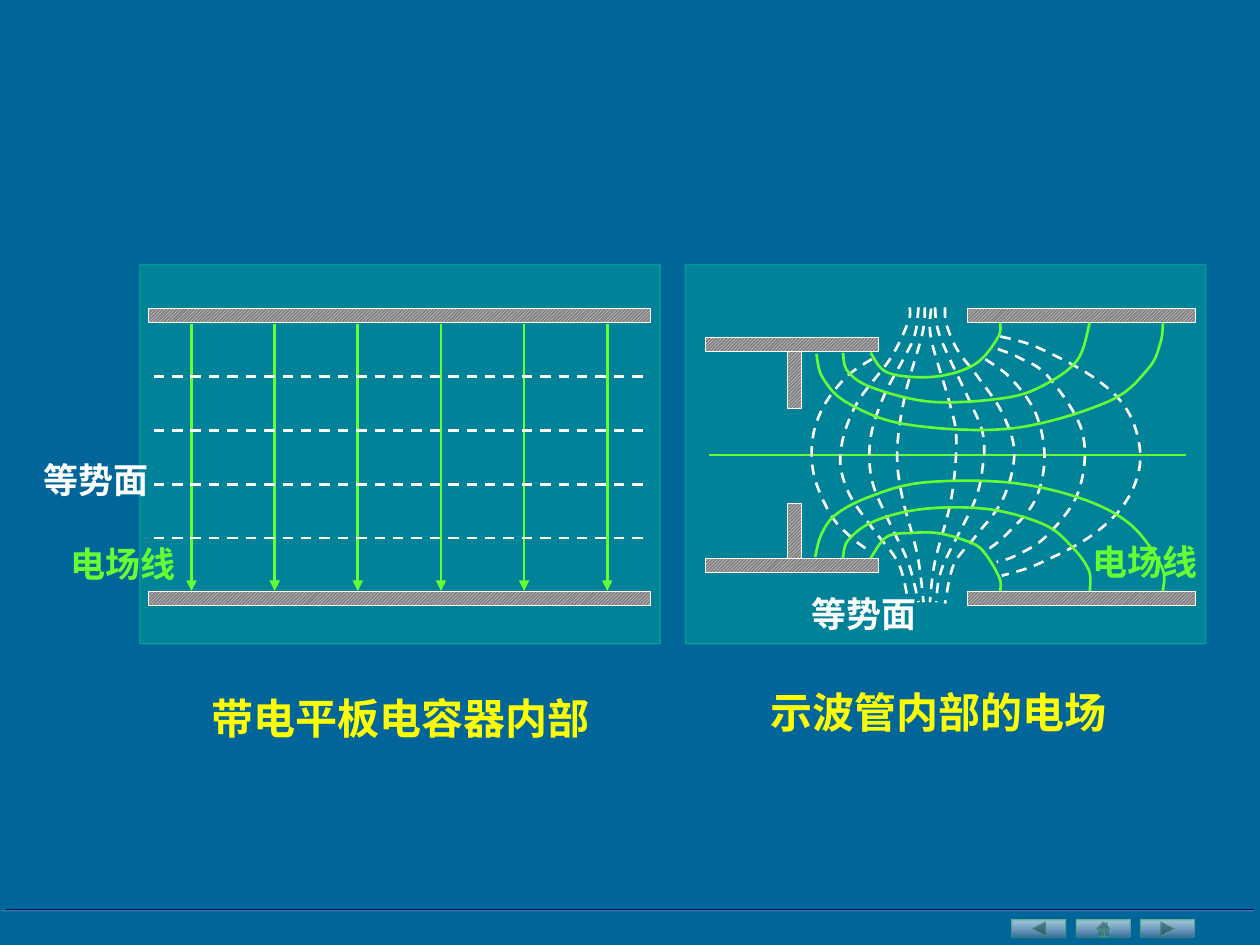
from lxml import etree
from pptx import Presentation
from pptx.dml.color import RGBColor
from pptx.enum.dml import MSO_LINE, MSO_PATTERN
from pptx.enum.shapes import MSO_CONNECTOR, MSO_SHAPE
from pptx.enum.text import MSO_AUTO_SIZE, PP_ALIGN
from pptx.oxml.ns import qn
from pptx.util import Inches, Pt

RECT = MSO_SHAPE.RECTANGLE
STRAIGHT = MSO_CONNECTOR.STRAIGHT
DASH = MSO_LINE.DASH
HATCH = MSO_PATTERN.DARK_UPWARD_DIAGONAL
LEFT, CENTER = PP_ALIGN.LEFT, PP_ALIGN.CENTER
BUTTONS = (MSO_SHAPE.ACTION_BUTTON_BACK_OR_PREVIOUS, MSO_SHAPE.ACTION_BUTTON_HOME,
           MSO_SHAPE.ACTION_BUTTON_FORWARD_OR_NEXT)

THEME = {
    "background": "006699", "panel": "00CC99", "field": "66FF33", "white": "FFFFFF",
    "caption": "FFFF00", "metal": "808080", "button": "336699", "button_edge": "339966",
    "rule_light": "B2B2B2", "rule_dark": "000066",
    "font": "Times New Roman", "caption_size": 24, "label_size": 20,
    "curve_width": 1.5, "edge_width": 0.25,
}
THEME = {k: RGBColor.from_string(v) if isinstance(v, str) and k != "font" else v
         for k, v in THEME.items()}


def add_text(text, x, y, w, h, size=THEME["label_size"], color=THEME["white"], align=LEFT):
    """Add a bold one-line text box, measured in inches."""
    tf = slide.shapes.add_textbox(Inches(x), Inches(y), Inches(w), Inches(h)).text_frame
    tf.word_wrap = True
    tf.auto_size = MSO_AUTO_SIZE.SHAPE_TO_FIT_TEXT
    p = tf.paragraphs[0]
    p.alignment = align
    r = p.add_run()
    r.text = text
    r.font.name, r.font.size, r.font.bold = THEME["font"], Pt(size), True
    r.font.color.rgb = color


def style_line(sp, color, width, dash=None, arrow=False, alphas=()):
    """Format an outline without shadow; alphas are percentages, fill colours first."""
    sp.line.color.rgb = color
    sp.line.width = Pt(width)
    if dash:
        sp.line.dash_style = dash
    if arrow:
        etree.SubElement(sp.line._get_or_add_ln(), qn("a:tailEnd"), type="triangle")
    sp_pr = sp.element.spPr
    etree.SubElement(sp_pr, qn("a:effectLst"))
    for clr, alpha in zip(sp_pr.iter(qn("a:srgbClr")), alphas):
        etree.SubElement(clr, qn("a:alpha"), val=str(alpha * 1000))


prs = Presentation()
prs.slide_width, prs.slide_height = Inches(10), Inches(7.5)
slide = prs.slides.add_slide(prs.slide_layouts[6])
slide.background.fill.solid()
slide.background.fill.fore_color.rgb = THEME["background"]

# Navigation buttons
for i, kind in enumerate(BUTTONS):
    sp = slide.shapes.add_shape(kind, Inches(8.03 + 0.51 * i), Inches(7.3),
                                Inches(0.43), Inches(0.14))
    sp.fill.gradient()
    sp.fill.gradient_angle = 270
    for stop, name in zip(sp.fill.gradient_stops, ("white", "button")):
        stop.color.rgb = THEME[name]
    style_line(sp, THEME["button_edge"], 0, alphas=(62, 89, 52))

# Panels
for x in (1.11, 5.44):
    sp = slide.shapes.add_shape(RECT, Inches(x), Inches(2.1), Inches(4.13), Inches(3.01))
    sp.fill.solid()
    sp.fill.fore_color.rgb = THEME["panel"]
    style_line(sp, THEME["panel"], 0.75, alphas=(29, 46))

# Metal electrodes: stems first, then the plates that cover their roots
PLATE = 0.11
electrodes = [(6.25, y, PLATE, 0.45) for y in (2.79, 3.99)]
electrodes += [(x, y, w, PLATE)
               for x, w, tops in ((1.18, 3.98, (2.45, 4.69)), (7.68, 1.81, (2.45, 4.69)),
                                  (5.6, 1.37, (2.68, 4.43)))
               for y in tops]
for x, y, w, h in electrodes:
    sp = slide.shapes.add_shape(RECT, Inches(x), Inches(y), Inches(w), Inches(h))
    sp.fill.patterned()
    sp.fill.pattern = HATCH
    sp.fill.fore_color.rgb, sp.fill.back_color.rgb = THEME["white"], THEME["metal"]
    style_line(sp, THEME["white"], THEME["edge_width"])

# Straight lines: x1, y1, x2, y2, colour, width, extra format
field, white, curve_w = THEME["field"], THEME["white"], THEME["curve_width"]
lines = [(0.01, 7.23, 9.95, 7.23, THEME["rule_light"], 0.25, {"alphas": (90,)}),
         (0.05, 7.22, 9.95, 7.22, THEME["rule_dark"], 0.5, {}),
         (5.63, 3.61, 9.41, 3.61, field, curve_w, {})]
for i in range(6):
    x = 1.52 + 0.66 * i
    lines.append((x, 2.57, x, 4.69, field, curve_w, {"arrow": True}))
for i in range(4):
    y = 2.99 + 0.427 * i
    lines.append((1.22, y, 5.11, y, white, curve_w, {"dash": DASH}))
for x1, y1, x2, y2, color, width, extra in lines:
    sp = slide.shapes.add_connector(STRAIGHT, Inches(x1), Inches(y1), Inches(x2), Inches(y2))
    style_line(sp, color, width, **extra)

# Points that the smooth curves pass through
equipotentials = [
    [(6.92, 2.85), (6.72, 2.99), (6.54, 3.22), (6.45, 3.48), (6.46, 3.77), (6.59, 4.08),
     (6.75, 4.26), (6.91, 4.38)],
    [(7.22, 2.44), (7.21, 2.55), (7.07, 2.84), (6.79, 3.22), (6.67, 3.6), (6.73, 3.9),
     (6.93, 4.2), (7.13, 4.47), (7.21, 4.78)],
    [(7.29, 2.44), (7.26, 2.66), (7.17, 2.85), (7.03, 3.11), (6.93, 3.38), (6.9, 3.6),
     (6.93, 3.85), (7.07, 4.17), (7.21, 4.47), (7.29, 4.78)],
    [(7.34, 2.44), (7.32, 2.65), (7.18, 3.15), (7.12, 3.59), (7.16, 3.94), (7.28, 4.4),
     (7.33, 4.78)],
    [(7.39, 2.45), (7.39, 2.69), (7.54, 3.21), (7.59, 3.49), (7.55, 3.96), (7.42, 4.46),
     (7.38, 4.78)],
    [(7.42, 2.44), (7.46, 2.67), (7.68, 3.15), (7.8, 3.44), (7.8, 3.7), (7.73, 3.99),
     (7.48, 4.5), (7.43, 4.78)],
    [(7.5, 2.44), (7.51, 2.57), (7.6, 2.78), (7.76, 2.99), (7.95, 3.27), (8.05, 3.59),
     (7.96, 3.96), (7.74, 4.26), (7.57, 4.48), (7.5, 4.79)],
    [(7.82, 2.85), (8.02, 3), (8.22, 3.28), (8.29, 3.64), (8.21, 3.98), (7.99, 4.24),
     (7.83, 4.37)],
    [(7.92, 2.77), (8.09, 2.84), (8.32, 2.99), (8.59, 3.43), (8.56, 3.9), (8.31, 4.25),
     (8.06, 4.41), (7.91, 4.46)],
    [(7.94, 2.67), (8.24, 2.76), (8.7, 3.01), (8.96, 3.28), (9.05, 3.65), (8.93, 3.99),
     (8.65, 4.26), (8.23, 4.48), (7.95, 4.57)],
]
field_lines = [
    [(6.91, 2.8), (7.05, 2.96), (7.42, 2.99), (7.74, 2.89), (7.92, 2.68), (7.94, 2.56)],
    [(6.69, 2.8), (6.73, 2.95), (6.93, 3.08), (7.4, 3.19), (7.97, 3.16), (8.28, 3.06),
     (8.55, 2.86), (8.65, 2.56)],
    [(6.48, 2.81), (6.53, 3), (6.73, 3.2), (7.2, 3.37), (8.03, 3.4), (8.79, 3.19),
     (9.11, 2.93), (9.21, 2.72), (9.23, 2.56)],
    [(6.47, 4.42), (6.52, 4.24), (6.64, 4.08), (6.91, 3.94), (7.33, 3.83), (8.01, 3.83),
     (8.59, 3.96), (8.98, 4.17), (9.22, 4.5), (9.23, 4.69)],
    [(6.69, 4.43), (6.73, 4.29), (6.93, 4.14), (7.32, 4.04), (7.84, 4.04), (8.28, 4.16),
     (8.49, 4.32), (8.64, 4.52), (8.65, 4.69)],
    [(6.91, 4.43), (7.04, 4.26), (7.24, 4.23), (7.43, 4.23), (7.63, 4.28), (7.79, 4.36),
     (7.93, 4.58), (7.94, 4.69)],
]

# Each segment becomes a cubic Bezier whose handles follow the neighbouring points
curves = [(c, white, DASH) for c in equipotentials] + [(c, field, None) for c in field_lines]
for knots, color, dash in curves:
    start, *rest = [(1000 * x, 1000 * y) for x, y in knots]
    builder = slide.shapes.build_freeform(*start, scale=Inches(1) / 1000)
    builder.add_line_segments(rest, close=False)
    sp = builder.convert_to_shape()
    geometry = sp.element.spPr.find(qn("a:custGeom"))
    local = [(int(pt.get("x")), int(pt.get("y"))) for pt in geometry.iter(qn("a:pt"))]
    ends = [local[0], *local, local[-1]]
    segments = list(geometry.iter(qn("a:lnTo")))
    for segment, a, b, c, d in zip(segments, ends, ends[1:], ends[2:], ends[3:]):
        bezier = etree.Element(qn("a:cubicBezTo"))
        handle_out = [q + (r - p) / 6 for p, q, r in zip(a, b, c)]
        handle_in = [r - (s - q) / 6 for q, r, s in zip(b, c, d)]
        for x, y in (handle_out, handle_in, c):
            etree.SubElement(bezier, qn("a:pt"), x=str(round(x)), y=str(round(y)))
        segment.getparent().replace(segment, bezier)
    sp.fill.background()
    style_line(sp, color, curve_w, dash)

# Captions and labels
for text, x, y, w in (("带电平板电容器内部", 1.1, 5.45, 4.15), ("示波管内部的电场", 5.42, 5.4, 4.06)):
    add_text(text, x, y, w, 0.5, size=THEME["caption_size"], color=THEME["caption"],
             align=CENTER)
for x, y in ((0.46, 4.26), (8.57, 4.24)):
    add_text("电场线", x, y, 1.34, 0.43, color=field)
for x, y in ((0.25, 3.59), (6.34, 4.65)):
    add_text("等势面", x, y, 1.18, 0.43)

prs.save("out.pptx")
